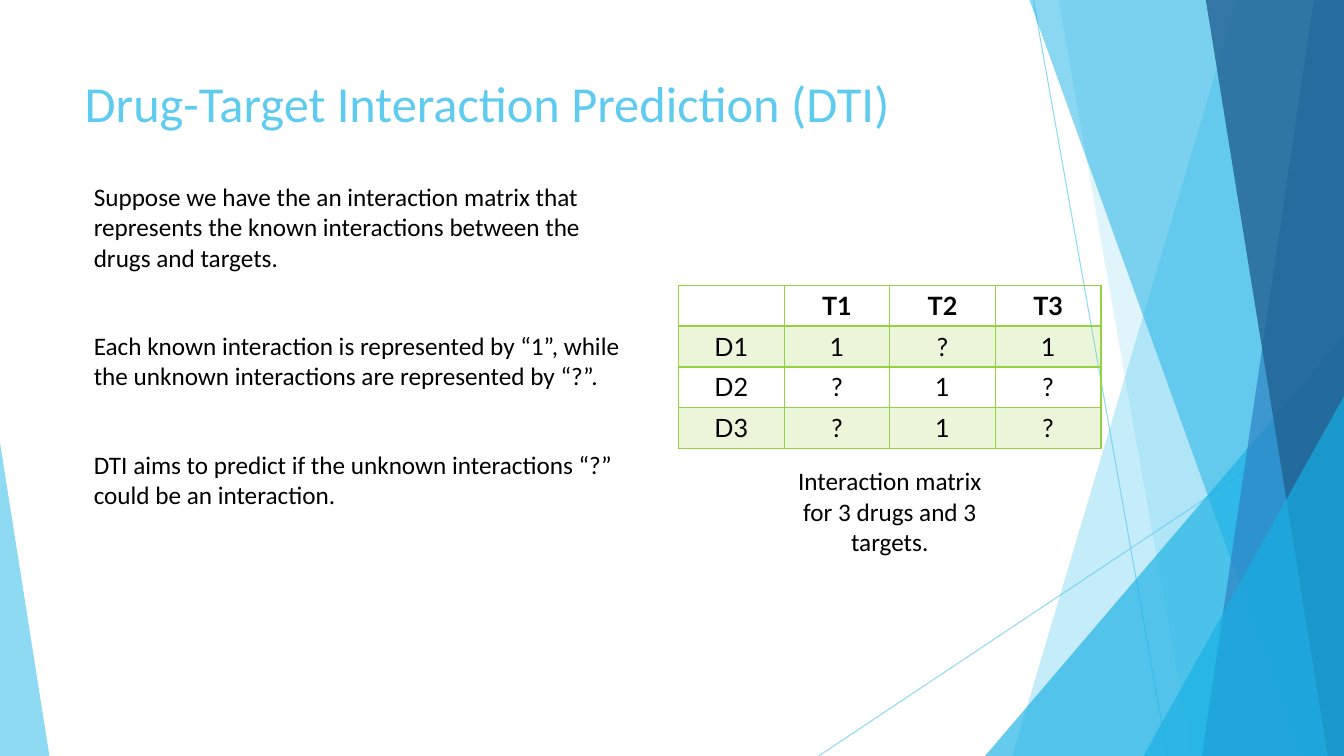
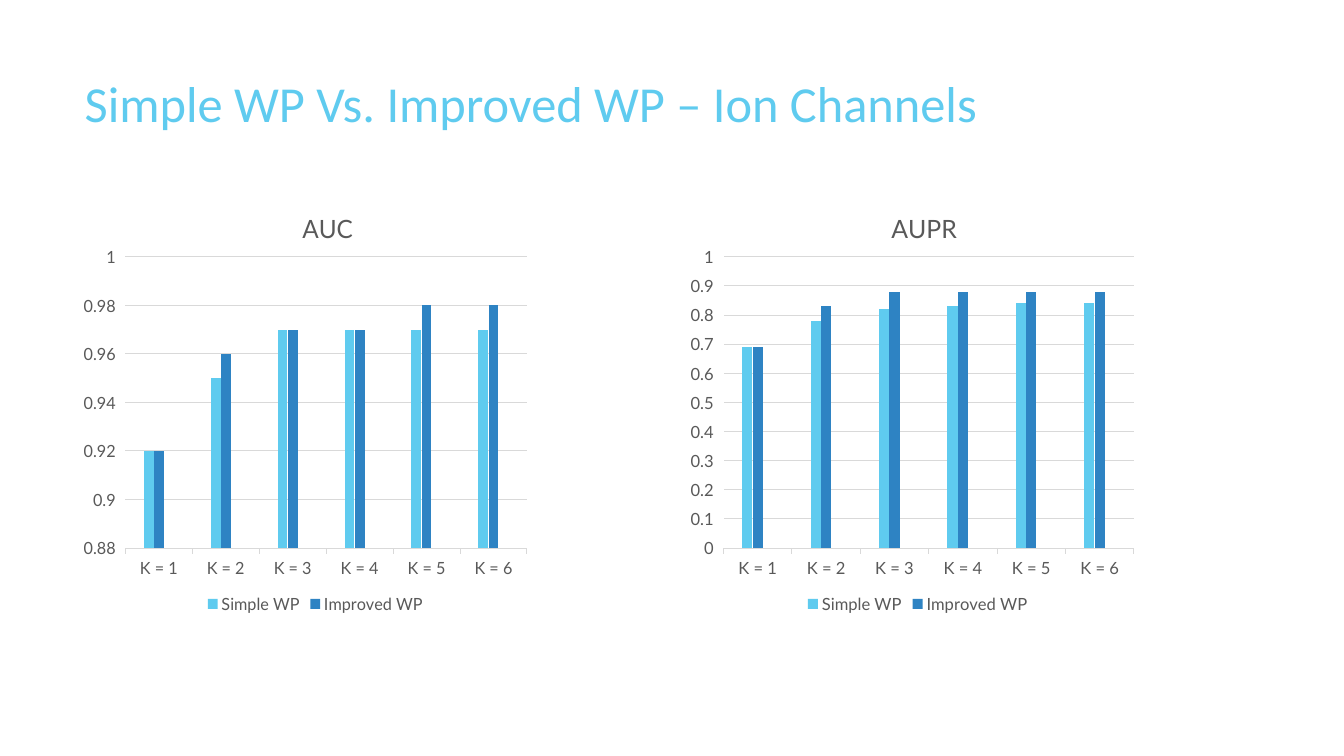
from lxml.etree import SubElement
from pptx import Presentation
from pptx.chart.data import CategoryChartData
from pptx.dml.color import RGBColor
from pptx.enum.chart import XL_CHART_TYPE as ChartType
from pptx.enum.chart import XL_LEGEND_POSITION as LegendPosition
from pptx.enum.chart import XL_TICK_MARK as TickMark
from pptx.enum.shapes import MSO_CONNECTOR as Connector
from pptx.enum.shapes import MSO_SHAPE as Shape
from pptx.enum.text import MSO_ANCHOR as Anchor
from pptx.enum.text import MSO_AUTO_SIZE as AutoSize
from pptx.enum.text import PP_ALIGN as Align
from pptx.oxml.ns import qn
from pptx.util import Inches, Pt

# Shared look
SKY, CYAN, BLUE, NAVY = "5FCBEF", "17B0E4", "2E83C3", "226292"
GREEN, TEAL, BLACK, GREY, RULE = "96D141", "42D0A2", "000000", "595959", "D9D9D9"
TEXT_FONT, DATA_FONT = "Calibri", "Lato"
PAGE_WIDTH, PAGE_HEIGHT = 13.33, 7.5
TITLE_BOX = (0.74, 0.67, 9.4, 1.44)


def colour(value):
    return RGBColor.from_string(value)


def inches(*lengths):
    return [Inches(length) for length in lengths]


def set_alpha(element, percent):
    for tint in element.iter(qn("a:srgbClr")):
        SubElement(tint, qn("a:alpha"), val=str(percent * 1000))


def format_font(font, size=18, name=TEXT_FONT, color=BLACK, bold=False):
    font.size, font.name, font.bold = Pt(size), name, bold
    font.color.rgb = colour(color)


def write_text(frame, *texts, align=Align.LEFT, gap=0, **font_format):
    """Write paragraphs, with a gap in points between them."""
    frame.word_wrap = True
    for index, text in enumerate(texts):
        para = frame.add_paragraph() if index else frame.paragraphs[0]
        para.alignment = align
        para.space_before = Pt(gap if index else 0)
        span = para.add_run()
        span.text = text
        format_font(span.font, **font_format)


def fill_placeholder(holder, box, *texts, **text_format):
    holder.left, holder.top, holder.width, holder.height = inches(*box)
    frame = holder.text_frame
    frame.auto_size, frame.vertical_anchor = AutoSize.NONE, Anchor.TOP
    write_text(frame, *texts, **text_format)


def add_page(deck, layout_index, title):
    page = deck.slides.add_slide(deck.slide_layouts[layout_index])
    fill_placeholder(page.shapes.title, TITLE_BOX, title, size=36, color=SKY)
    return page


# Decoration
def paint(shape, color, opacity):
    shape.shadow.inherit = False
    shape.fill.solid()
    shape.fill.fore_color.rgb = colour(color)
    set_alpha(shape.fill._xPr, opacity)
    shape.line.fill.background()


def add_triangle(page, box, apex, color, opacity):
    triangle = page.shapes.add_shape(Shape.ISOSCELES_TRIANGLE, *inches(*box))
    triangle.adjustments[0] = apex
    paint(triangle, color, opacity)


def add_thin_line(page, *ends):
    line = page.shapes.add_connector(Connector.STRAIGHT, *inches(*ends))
    line.line.color.rgb = colour(SKY)
    line.line.width = Pt(0.75)
    properties = line._element.spPr
    set_alpha(properties, 70)
    SubElement(properties, qn("a:effectLst"))


def add_facets(page, left, top, width, height):
    """Translucent facets against the right edge of the box."""
    right, bottom = left + width, top + height

    def add_band(upper, lower, color, opacity):
        corners = [(right, top), (right, bottom), (left + lower, bottom)]
        builder = page.shapes.build_freeform(*inches(left + upper, top))
        builder.add_line_segments([inches(*corner) for corner in corners])
        paint(builder.convert_to_shape(), color, opacity)

    def add_corner(x, y):
        add_triangle(page, (left + x, top + y, width - x, height - y), 1, CYAN, 66)

    add_thin_line(page, left + 2.13, top, left + 3.46, bottom)
    add_thin_line(page, right, top + 4.03, left, bottom)
    add_band(4.15, 1.92, SKY, 36)
    add_band(2.38, 3.7, SKY, 20)
    add_corner(1.65, 3.33)
    add_band(2.09, 4.79, CYAN, 50)
    add_band(4.91, 3.8, BLUE, 70)
    add_band(3.84, 5.05, NAVY, 80)
    add_corner(3.22, 3.93)


# Interaction matrix
def add_border(cell, side, width):
    line = SubElement(cell._tc.get_or_add_tcPr(), qn(f"a:ln{side}"), w=str(Pt(width)))
    fill = SubElement(line, qn("a:solidFill"))
    SubElement(fill, qn("a:srgbClr"), val=GREEN)


def add_matrix(page, left, top, width, height, rows):
    frame = page.shapes.add_table(
        len(rows), len(rows[0]), *inches(left, top, width, height))
    table = frame.table
    table.first_row = table.horz_banding = False
    for row_index, row in enumerate(rows):
        for column_index, text in enumerate(row):
            cell = table.cell(row_index, column_index)
            for side in "LRTB":
                heavy = (row_index, side) in ((0, "B"), (1, "T"))
                add_border(cell, side, 2 if heavy else 1)
            if row_index % 2:
                cell.fill.solid()
                cell.fill.fore_color.rgb = colour(GREEN)
                set_alpha(cell._tc.tcPr.find(qn("a:solidFill")), 20)
            else:
                cell.fill.background()
            if text:
                write_text(cell.text_frame, text, align=Align.CENTER,
                           name=DATA_FONT, bold=row_index == 0)


def add_caption(page, box, text):
    caption = page.shapes.add_textbox(*inches(*box))
    write_text(caption.text_frame, text, align=Align.CENTER)


# Score charts
def set_layout(parent, position, **settings):
    """Place a chart part by fractions of the chart area."""
    for old in parent.findall(qn("c:layout")):
        parent.remove(old)
    layout = SubElement(parent, qn("c:layout"))
    manual = SubElement(layout, qn("c:manualLayout"))
    for name, value in settings.items():
        SubElement(manual, qn(f"c:{name}"), val=str(value))
    parent.insert(position, layout)


def format_axes(chart, low, step):
    values, categories = chart.value_axis, chart.category_axis
    values.minimum_scale, values.maximum_scale, values.major_unit = low, 1, step
    values.format.line.fill.background()
    values.has_major_gridlines = True
    for line in (values.major_gridlines.format.line, categories.format.line):
        line.color.rgb = colour(RULE)
        line.width = Pt(0.75)
    for axis in (values, categories):
        axis.major_tick_mark = TickMark.OUTSIDE
        format_font(axis.tick_labels.font, 12, DATA_FONT, GREY)
    values.tick_labels.number_format = "General"
    values.tick_labels.number_format_is_linked = False


def add_score_chart(page, box, title, title_x, low, step, simple, improved):
    data = CategoryChartData()
    data.categories = [f"K = {k}" for k in range(1, 7)]
    data.add_series("Simple WP", simple)
    data.add_series("Improved WP", improved)
    data.add_series("Series 3", [None] * 6)
    chart = page.shapes.add_chart(
        ChartType.COLUMN_CLUSTERED, *inches(*box), data).chart
    format_font(chart.font, 10, DATA_FONT)

    # Title and plot area
    chart.has_title = True
    write_text(chart.chart_title.text_frame, title, align=Align.CENTER,
               size=18, name=DATA_FONT, color=GREY)
    set_layout(chart.chart_title._element, 1,
               xMode="edge", yMode="edge", x=title_x, y=0.05)
    plot_area = chart._chartSpace.find(".//" + qn("c:plotArea"))
    set_layout(plot_area, 0, layoutTarget="inner", xMode="edge", yMode="edge",
               x=0.06, y=0.167, w=0.93, h=0.672)
    format_axes(chart, low, step)

    # Columns
    plot = chart.plots[0]
    plot.vary_by_categories = False
    plot.gap_width, plot.overlap = 372, -3
    for series, color in zip(plot.series, (SKY, BLUE, TEAL)):
        series.format.fill.solid()
        series.format.fill.fore_color.rgb = colour(color)

    # Legend, without the empty series
    chart.has_legend = True
    legend = chart.legend
    legend.position, legend.include_in_layout = LegendPosition.BOTTOM, False
    format_font(legend.font, 12, DATA_FONT, GREY)
    entry = SubElement(legend._element, qn("c:legendEntry"))
    SubElement(entry, qn("c:idx"), val="2")
    SubElement(entry, qn("c:delete"), val="1")
    legend._element.insert(1, entry)


# Slides
def build_matrix_page(deck):
    page = add_page(deck, 1, "Drug-Target Interaction Prediction (DTI)")
    add_facets(page, 8.12, 0, PAGE_WIDTH - 8.12, PAGE_HEIGHT)
    add_triangle(page, (0, 4.39, 0.49, 3.11), 0, SKY, 70)
    body = page.placeholders[1]
    fill_placeholder(
        body, (0.83, 1.75, 5.5, 4.24),
        "Suppose we have the an interaction matrix that represents the known "
        "interactions between the drugs and targets.",
        "Each known interaction is represented by “1”, while the unknown "
        "interactions are represented by “?”.",
        "DTI aims to predict if the unknown interactions “?” could be an interaction.",
        gap=41.6)
    for para in body.text_frame.paragraphs:
        properties = para._p.get_or_add_pPr()
        properties.set("marL", "0")
        properties.set("indent", "0")
        SubElement(properties, qn("a:buNone"))
    add_matrix(page, 6.73, 2.83, 4.19, 1.62, [
        ["", "T1", "T2", "T3"],
        ["D1", "1", "?", "1"],
        ["D2", "?", "1", "?"],
        ["D3", "?", "1", "?"],
    ])
    add_caption(page, (7.74, 4.57, 2.17, 1.21),
                "Interaction matrix for 3 drugs and 3 targets.")


def build_score_page(deck):
    page = add_page(deck, 5, "Simple WP Vs. Improved WP – Ion Channels")
    add_score_chart(page, (0.83, 1.83, 4.44, 4.3), "AUC", 0.46, 0.88, 0.02,
                    [0.92, 0.95, 0.97, 0.97, 0.97, 0.97],
                    [0.92, 0.96, 0.97, 0.97, 0.98, 0.98])
    add_score_chart(page, (6.85, 1.83, 4.44, 4.3), "AUPR", 0.43, 0, 0.1,
                    [0.69, 0.78, 0.82, 0.83, 0.84, 0.84],
                    [0.69, 0.83, 0.88, 0.88, 0.88, 0.88])


def main():
    deck = Presentation()
    deck.slide_width, deck.slide_height = inches(PAGE_WIDTH, PAGE_HEIGHT)
    build_matrix_page(deck)
    build_score_page(deck)
    deck.save("out.pptx")


if __name__ == "__main__":
    main()
